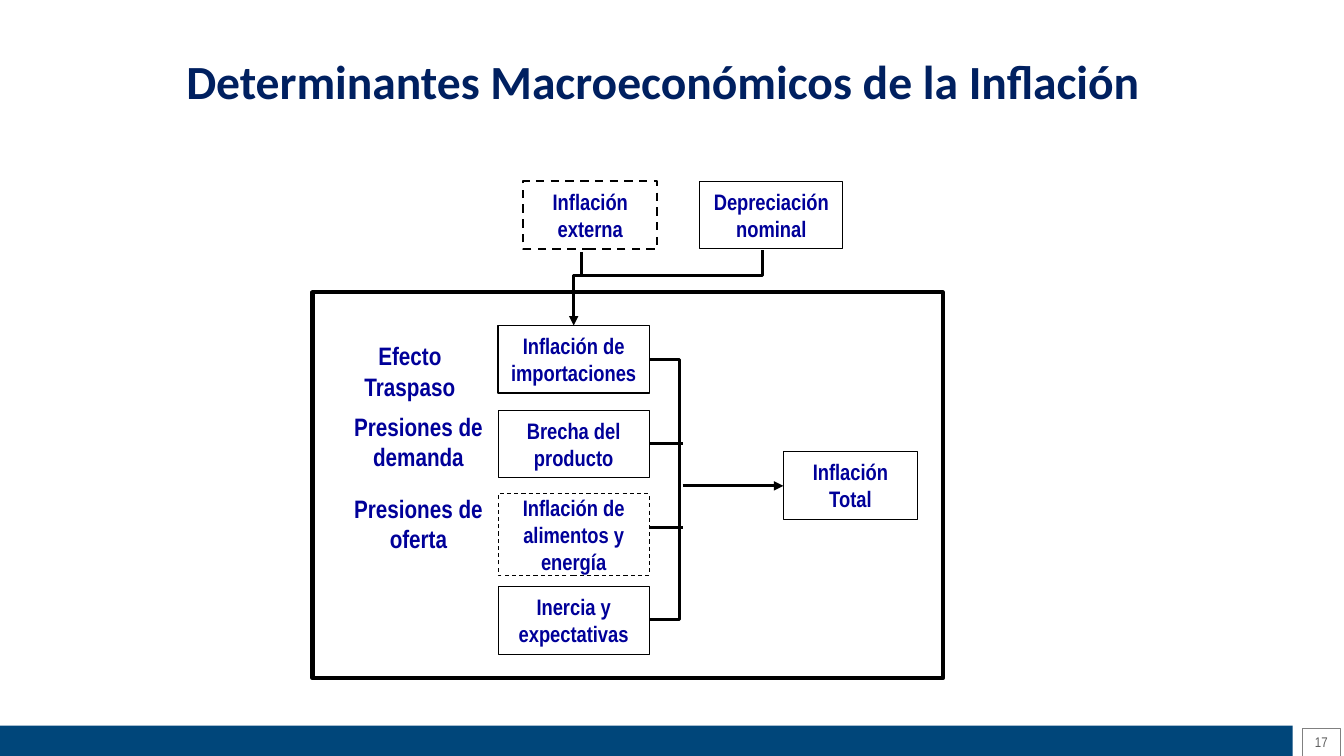
import pptx
import pptx.dml.color
import pptx.enum.dml
import pptx.enum.shapes
import pptx.enum.text
import pptx.oxml
import pptx.oxml.ns
import pptx.util

PX = 9144  # EMU per px, 100 px to the inch
COLORS = {
    "black": "000000",
    "label": "000099",
    "title": "002060",
    "band": "00467A",
    "frame": "808080",
    "number": "5F5F5F",
}
NARROW = "Arial Narrow"
ANCHOR = pptx.enum.text.MSO_ANCHOR


def color(name):
    return pptx.dml.color.RGBColor.from_string(COLORS[name])


class Diagram:
    """Draws styled elements on the current page."""

    def __init__(self, page):
        self.shapes = page.shapes

    def stroke(self, line, width, name="black", dashed=False, arrow=False):
        line.color.rgb = color(name)
        line.width = pptx.util.Pt(width)
        if dashed:
            line.dash_style = pptx.enum.dml.MSO_LINE.DASH
        if arrow:
            tail = pptx.oxml.parse_xml(
                f'<a:tailEnd {pptx.oxml.ns.nsdecls("a")} type="triangle"/>')
            line._get_or_add_ln().append(tail)

    def add_lines(self, box, lines, size, ink="label", font=NARROW, bold=True,
                  anchor=ANCHOR.MIDDLE):
        frame = box.text_frame
        frame.word_wrap = True
        frame.vertical_anchor = anchor
        for index, text in enumerate(lines):
            para = frame.add_paragraph() if index else frame.paragraphs[0]
            para.alignment = pptx.enum.text.PP_ALIGN.CENTER
            span = para.add_run()
            span.text = text
            span.font.name = font
            span.font.size = pptx.util.Pt(size)
            span.font.bold = bold
            span.font.color.rgb = color(ink)

    def rect(self, left, top, width, height, fill=None, line=None,
             ink="black", dashed=False):
        box = self.shapes.add_shape(
            pptx.enum.shapes.MSO_SHAPE.RECTANGLE,
            left * PX, top * PX, width * PX, height * PX)
        box.shadow.inherit = False
        if fill:
            box.fill.solid()
            box.fill.fore_color.rgb = color(fill)
        else:
            box.fill.background()
        if line:
            self.stroke(box.line, line, ink, dashed)
        else:
            box.line.fill.background()
        return box

    def node(self, text, left, top, width, height=67, line=0.75, dashed=False):
        box = self.rect(left, top, width, height, line=line, dashed=dashed)
        self.add_lines(box, [text], 16)

    def label(self, lines, left, top, width, height, size=18, **style):
        box = self.shapes.add_textbox(left * PX, top * PX, width * PX, height * PX)
        self.add_lines(box, lines, size, **style)

    def straight(self, start, end, arrow=False):
        link = self.shapes.add_connector(
            pptx.enum.shapes.MSO_CONNECTOR.STRAIGHT,
            *(value * PX for value in start + end))
        link._element.spPr.append(
            pptx.oxml.parse_xml(f'<a:effectLst {pptx.oxml.ns.nsdecls("a")}/>'))
        self.stroke(link.line, 2.25, arrow=arrow)

    def route(self, points, arrow=False):
        builder = self.shapes.build_freeform(*points[0], scale=PX)
        builder.add_line_segments(points[1:], close=False)
        bend = builder.convert_to_shape()
        bend.shadow.inherit = False
        bend.fill.background()
        self.stroke(bend.line, 2.25, arrow=arrow)


def main():
    deck = pptx.Presentation()
    deck.slide_width, deck.slide_height = 1333 * PX, 750 * PX
    page = deck.slides.add_slide(deck.slide_layouts[6])
    diagram = Diagram(page)

    # Title
    diagram.label(["Determinantes Macroeconómicos de la Inflación"],
                  28, 50, 1259, 59, size=34, ink="title", font="Calibri")

    # Frame and outside factors
    diagram.rect(310, 290, 625, 383, line=3)
    diagram.node("Inflación externa", 519, 180, 133, line=1.5, dashed=True)
    diagram.node("Depreciación nominal", 694, 180, 142)

    # Domestic causes and total
    diagram.node("Inflación de importaciones", 494, 323, 150, line=1)
    diagram.node("Brecha del producto", 494, 407, 150)
    diagram.node("Inflación de alimentos y energía", 494, 490, 150, 81, dashed=True)
    diagram.node("Inercia y expectativas", 494, 582, 150)
    diagram.node("Inflación Total", 777, 448, 133)

    # Effect labels
    for lines, top, width in (
        (["Efecto Traspaso"], 333, 175),
        (["Presiones de", "demanda"], 403, 192),
        (["Presiones de", "oferta"], 484, 192),
    ):
        diagram.label(lines, 319, top, width, 70, anchor=ANCHOR.TOP)

    # Links from outside factors to import inflation
    diagram.route([(577, 250), (577, 273), (756, 273), (756, 248)])
    diagram.route([(685, 273), (569, 273), (569, 323)], arrow=True)

    # Bracket that joins the causes to the total
    diagram.route([(644, 357), (674, 357), (674, 615), (644, 615)])
    for middle in (440, 523):
        diagram.straight((644, middle), (677, middle))
    diagram.straight((677, 482), (777, 482), arrow=True)

    # Footer
    diagram.rect(0, 720, 1282, 30, fill="band")
    number = diagram.rect(1292, 723, 37, 27, line=0.5, ink="frame")
    diagram.add_lines(number, ["17"], 10, ink="number", bold=False,
                      anchor=ANCHOR.TOP)

    deck.save("out.pptx")


if __name__ == "__main__":
    main()
